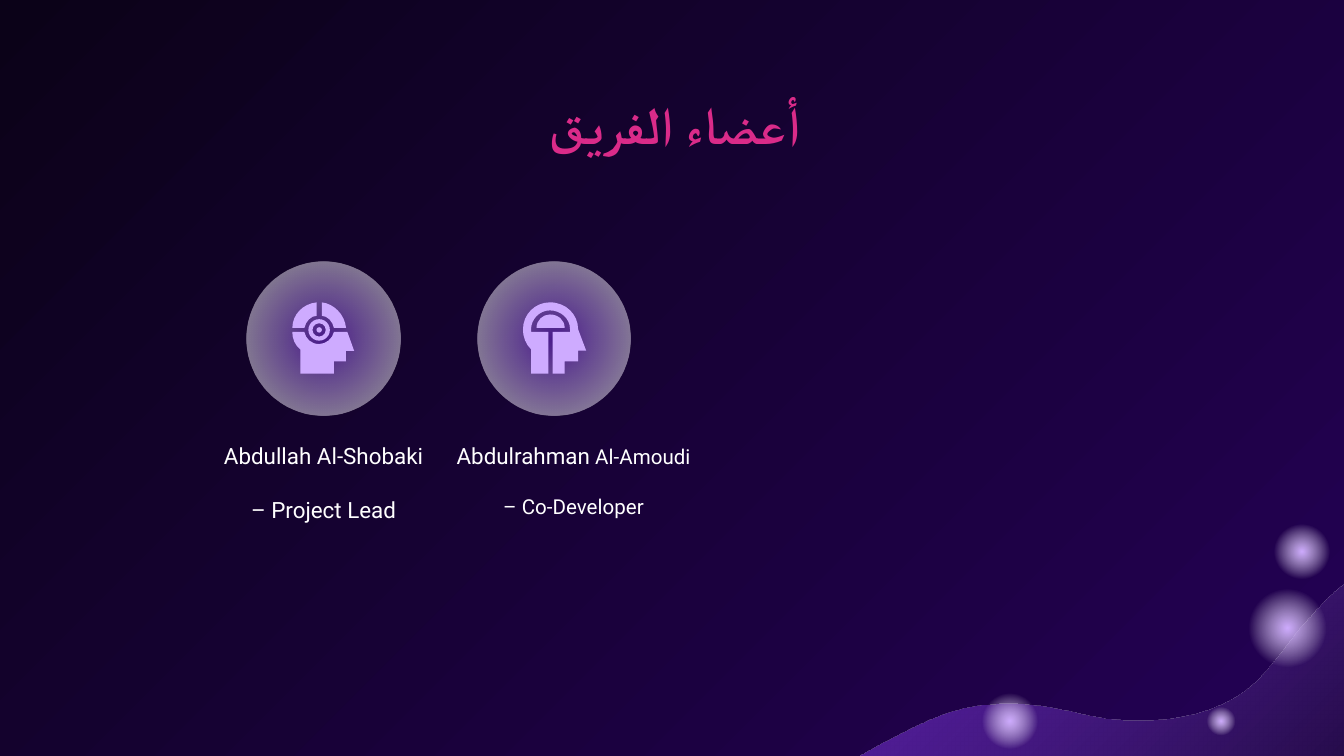
from dataclasses import dataclass

from lxml.etree import SubElement
from pptx import Presentation
from pptx.dml.color import RGBColor
from pptx.enum.shapes import MSO_SHAPE
from pptx.enum.text import PP_ALIGN
from pptx.oxml.ns import qn
from pptx.util import Pt


@dataclass(frozen=True)
class Theme:
    """Colours, font and type sizes of the deck."""
    night: str = "0B0218"
    indigo: str = "240155"
    violet: str = "8134EC"
    lilac: str = "CEABFF"
    white: str = "FFFFFF"
    pink: str = "DA2B89"
    font: str = "Roboto"
    title_size: float = 28
    name_size: float = 12
    small_size: float = 11


THEME = Theme()
GRID = 0.72

WAVE = [(479, 23), (449, 38, 432, 56, 412, 79), (396, 99, 383, 121, 357, 133),
        (330, 146, 288, 149, 257, 142), (224, 133, 184, 128, 151, 140),
        (117, 153, 86, 172, 56, 189), (36, 201, 17, 213, 0, 227), (586, 227),
        (587, 3), (580, 1, 573, 0, 565, 0), (535, 0, 502, 12, 479, 23)]
TARGET_HEAD = [
    [(41, 22), (31, 22), (30, 27, 25, 31, 20, 31), (14, 31, 10, 27, 9, 22), (0, 22),
     (0, 27, 2, 32, 6, 35), (6, 53), (31, 53), (31, 44), (40, 44), (40, 36), (46, 36)],
    [(9, 19), (10, 14, 14, 10, 18, 10), (18, 0), (8, 1, 0, 9, 0, 19)],
    [(22, 10), (26, 10, 30, 14, 31, 19), (40, 19), (39, 9, 31, 1, 22, 0)],
]
DOME_HEAD = [
    [(20, 9), (15, 9, 10, 13, 10, 19), (31, 19), (31, 13, 26, 9, 20, 9)],
    [(41, 20), (41, 9, 32, 0, 20, 0), (9, 0, 0, 9, 0, 20), (0, 26, 2, 31, 6, 35),
     (6, 53), (19, 53), (19, 22), (6, 22), (6, 20), (6, 13, 12, 6, 20, 6),
     (28, 6, 35, 12, 35, 20), (35, 22), (22, 22), (22, 53), (31, 53), (31, 44),
     (41, 44), (41, 36), (47, 36)],
]


def paint_gradient(fill, element, stops, angle=None):
    """Fill with (position, colour, opacity) stops, linear by angle or else circular."""
    fill.gradient()
    gradient = element.find(".//" + qn("a:gradFill"))
    for child in list(gradient):
        gradient.remove(child)
    stop_list = SubElement(gradient, qn("a:gsLst"))
    for position, color, opacity in stops:
        stop = SubElement(stop_list, qn("a:gs"), pos=str(position * 1000))
        tone = SubElement(stop, qn("a:srgbClr"), val=color)
        if opacity < 100:
            SubElement(tone, qn("a:alpha"), val=str(opacity * 1000))
    if angle is None:
        circle = SubElement(gradient, qn("a:path"), path="circle")
        SubElement(circle, qn("a:fillToRect"), l="50000", t="50000", r="50000", b="50000")
    else:
        SubElement(gradient, qn("a:lin"), ang=str(angle * 60000), scaled="0")


def clean(shape, color=None):
    """Remove shadow and line, and set a solid fill if a colour is given."""
    shape.shadow.inherit = False
    shape.line.fill.background()
    if color:
        shape.fill.solid()
        shape.fill.fore_color.rgb = RGBColor.from_string(color)
    return shape


def add_round(page, kind, left, top, size, color=None):
    """Add a round preset shape of equal width and height."""
    return clean(page.shapes.add_shape(kind, Pt(left), Pt(top), Pt(size), Pt(size)), color)


def add_outline(page, left, top, commands, color=None):
    """Add a closed outline of lines (2 numbers) and cubic curves (6 numbers)."""
    def place(x, y):
        return Pt(left + x * GRID), Pt(top + y * GRID)

    ends = [place(*command[-2:]) for command in commands]
    builder = page.shapes.build_freeform(*ends[0])
    builder.add_line_segments(ends[1:], close=True)
    shape = builder.convert_to_shape()
    segments = list(shape.element.iter(qn("a:lnTo")))
    for segment, command in zip(segments, commands[1:]):
        if len(command) == 6:
            curve = segment.makeelement(qn("a:cubicBezTo"))
            for x, y in zip(command[::2], command[1::2]):
                across, down = place(x, y)
                SubElement(curve, qn("a:pt"), x=str(across - shape.left),
                           y=str(down - shape.top))
            segment.getparent().replace(segment, curve)
    return clean(shape, color)


def add_text(page, box, spans, size, color, bold=False):
    """Add a centred right-to-left paragraph of (text, size) spans."""
    frame = page.shapes.add_textbox(*map(Pt, box)).text_frame
    frame.word_wrap = True
    frame.margin_left = frame.margin_right = frame.margin_top = frame.margin_bottom = Pt(7.2)
    para = frame.paragraphs[0]
    para.alignment = PP_ALIGN.CENTER
    para._p.get_or_add_pPr().set("rtl", "1")
    para.font.size = Pt(size)
    para.font.name = THEME.font
    para.font.color.rgb = RGBColor.from_string(color)
    for text, span_size in spans:
        span = para.add_run()
        span.text = text
        span.font.size = Pt(span_size)
        span.font.bold = bold
        span.font.name = THEME.font
        SubElement(span.font._element if hasattr(span.font, "_element") else
                   span._r.get_or_add_rPr(), qn("a:cs"), typeface=THEME.font)
    return para


def draw_backdrop(page, left, top):
    """Paint the background, and the wave with its glowing orbs from a corner."""
    paint_gradient(page.background.fill, page.element,
                   [(0, THEME.night, 100), (100, THEME.indigo, 100)], 45)
    wave = add_outline(page, left, top, WAVE)
    paint_gradient(wave.fill, wave.element,
                   [(0, THEME.night, 100), (100, THEME.violet, 70)], 225)
    for x, y, size in [(265.7, 29.9, 51.8), (280.8, -3.6, 36.7),
                       (124.6, 87.1, 36.7), (246.6, 96.2, 18.7)]:
        orb = add_round(page, MSO_SHAPE.OVAL, left + x, top + y, size)
        paint_gradient(orb.fill, orb.element, [(0, THEME.lilac, 100), (57, THEME.white, 0),
                                               (100, THEME.white, 0)])


def draw_icon(page, left, top, outlines, has_target):
    """Draw a head icon, with a ring and dot if it has a target."""
    for outline in outlines:
        add_outline(page, left, top, outline, THEME.lilac)
    if has_target:
        ring = add_round(page, MSO_SHAPE.DONUT, left + 12 * GRID, top + 12.5 * GRID,
                         16 * GRID, THEME.lilac)
        ring.adjustments[0] = 0.19
        add_round(page, MSO_SHAPE.OVAL, left + 18 * GRID, top + 18.5 * GRID,
                  4 * GRID, THEME.lilac)


def draw_member(page, disc_box, text_box, spans, outlines, has_target):
    """Draw one team member: name and role, disc and icon."""
    para = add_text(page, text_box, spans, THEME.name_size, THEME.white)
    para.line_spacing = 2.0
    para.space_after = Pt(16)
    left, top, size = disc_box
    disc = add_round(page, MSO_SHAPE.OVAL, left, top, size)
    paint_gradient(disc.fill, disc.element, [(0, THEME.violet, 49), (77, THEME.white, 49),
                                             (100, THEME.white, 49)])
    draw_icon(page, left + 24.4, top + 21.6, outlines, has_target)


def main():
    """Build and save the team slide."""
    deck = Presentation()
    deck.slide_width, deck.slide_height = Pt(720), Pt(405)
    page = deck.slides.add_slide(deck.slide_layouts[6])
    draw_backdrop(page, 398.2, 280.8)
    add_text(page, (56.9, 42.5, 607, 45.4), [("أعضاء الفريق", THEME.title_size)],
             THEME.title_size, THEME.pink, bold=True)
    draw_member(page, (255.8, 140.4, 82.1), (233.4, 215.5, 147.8, 49.7),
                [("Abdulrahman", THEME.name_size),
                 (" Al-Amoudi – Co-Developer", THEME.small_size)], DOME_HEAD, False)
    draw_member(page, (132.2, 140.4, 82.1), (108.9, 215.5, 128.9, 64.8),
                [("Abdullah Al-Shobaki – Project Lead", THEME.name_size)],
                TARGET_HEAD, True)
    deck.save("out.pptx")


if __name__ == "__main__":
    main()
